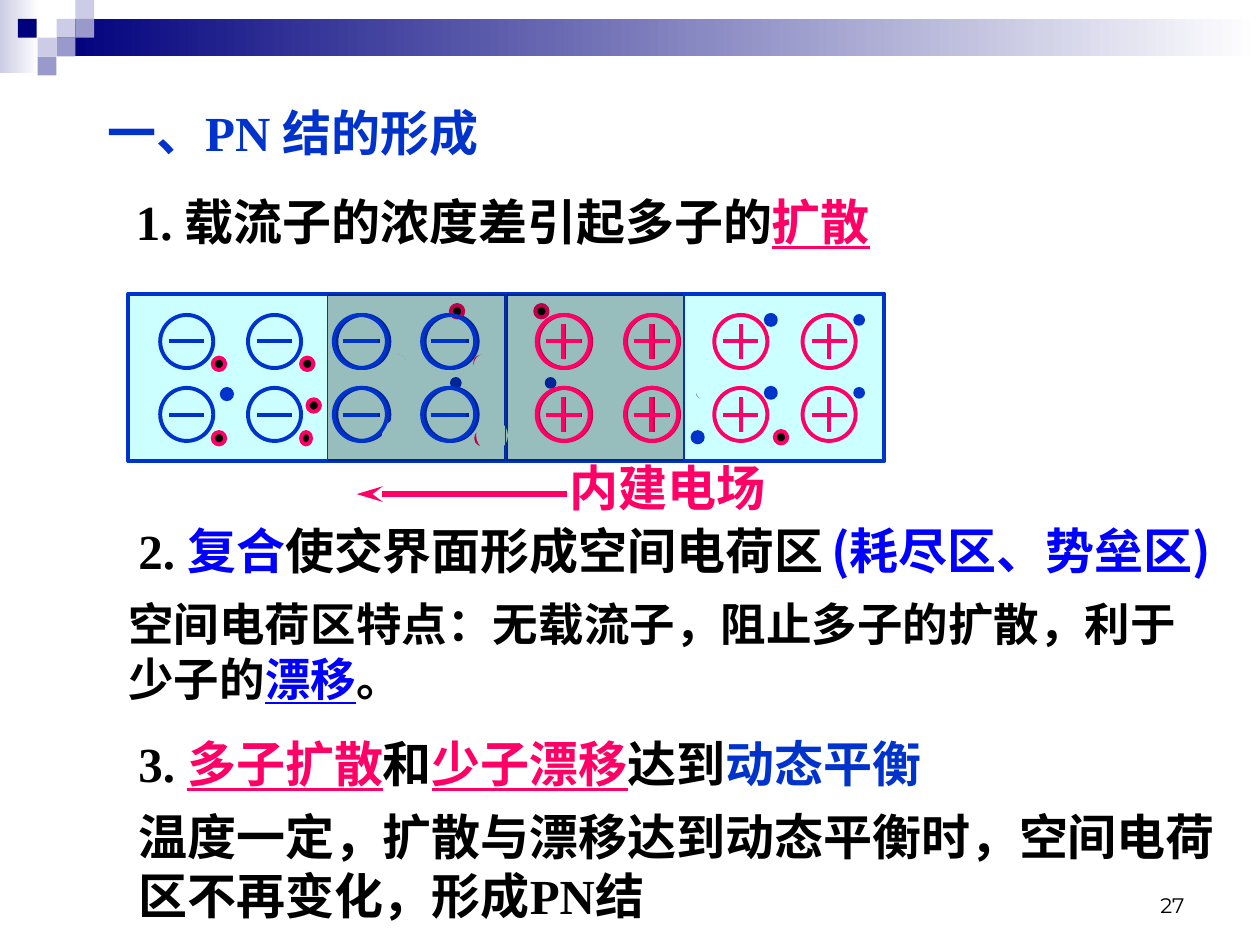
from lxml.etree import SubElement
from pptx import Presentation
from pptx.dml.color import RGBColor
from pptx.enum.shapes import MSO_CONNECTOR as Connector, MSO_SHAPE as Shape
from pptx.enum.text import MSO_ANCHOR as Anchor, MSO_AUTO_SIZE as AutoSize, PP_ALIGN as Align
from pptx.oxml.ns import qn
from pptx.util import Cm, Pt

COLORS = {
    "navy": "00007D", "lilac": "CCCCE6", "violet": "9999CC", "white": "FFFFFF",
    "blue": "0033CC", "pure": "0000FF", "pink": "FF0066", "black": "000000", "aqua": "CCFFFF",
}
SERIF, SANS, HAN, NUMBER = "Times New Roman", "Arial", "Noto Sans CJK SC", "Montserrat"

BANDS = [(0, 0, 0.31, 0.58, "lilac"), (0.45, 0.15, 9.55, 0.3, "navy")]
TILE = 0.15
TILES = [
    (0.45, 0.15, "lilac"), (0.6, 0, "lilac"), (0.6, 0.15, "violet"), (0.3, 0.3, "lilac"),
    (0.14, 0.15, "navy"), (0.45, 0.3, "violet"), (0.3, 0.45, "violet"),
]

TITLE = ((0.75, 0.76, 7, 0.57), 28, [("一、PN 结的形成", "blue", SERIF, False)])
TEXTS = [
    ((0.98, 1.47, 7.67, 0.57), 28, [
        ("1. 载流子的浓度差引起多子的", "black", SERIF, False), ("扩散", "pink", SERIF, True)]),
    ((1, 4.08, 6.33, 0.57), 28, [
        ("2. ", "black", SERIF, False), ("复合", "pure", SERIF, False),
        ("使交界面形成空间电荷区", "black", SERIF, False)]),
    ((6.5, 4.08, 3.5, 0.57), 28, [("(耗尽区、势垒区)", "pure", HAN, False)]),
    ((0.92, 4.68, 8.73, 0.97), 26, [
        ("空间电荷区特点：", "black", SERIF, False),
        ("无载流子，阻止多子的扩散，利于少子的", "black", SANS, False),
        ("漂移", "pure", SANS, True), ("。", "black", SANS, False)]),
    ((1, 5.77, 6.68, 0.57), 28, [
        ("3. ", "black", SERIF, False), ("多子扩散", "pink", SERIF, True),
        ("和", "black", SERIF, False), ("少子漂移", "pink", SERIF, True),
        ("达到", "black", SERIF, False), ("动态平衡", "blue", SERIF, False)]),
    ((1, 6.35, 9, 1.03), 28, [
        ("温度一定，扩散与漂移达到动态平衡时，空间电荷区不再变化，形成PN结",
         "black", SERIF, False)]),
    ((4.42, 3.58, 2.33, 0.57), 28, [("内建电场", "pink", SERIF, False)]),
]
PAGE_NUMBER = ((7.17, 6.83, 2.33, 0.5), 12, [("27", "black", NUMBER, False)])

BAR_TOP, BAR_WIDTH, BAR_HEIGHT = 2.33, 3, 1.33
N_LEFT, P_LEFT = 4.02, 1.02
ION_ROWS, ION_STEP, ION_SIZE, SIGN_SIZE = (2.5, 3.08), 0.7, 0.42, 0.28
N_ELECTRONS = [
    (4.69, 2.5, 0.08, 1), (5.39, 2.5, 0.08, 1), (6.08, 2.5, 0.08, 2.25), (6.78, 2.5, 0.08, 1),
    (6.08, 3.08, 0.08, 2.25), (6.78, 3.08, 0.08, 1), (5.49, 3.42, 0.1, 1),
    (4.77, 3.08, 0.08, 1), (5.53, 3.08, 0.08, 1),
]
N_HOLES = [(6.15, 3.42, 0.1)]
P_ELECTRONS = [(1.75, 3.08, 0.1, 1)]
P_HOLES = [
    (1.69, 2.84, 0.1), (2.39, 2.84, 0.1), (1.69, 3.43, 0.1), (2.39, 3.43, 0.08),
    (3.08, 3.43, 0.1), (3.78, 3.43, 0.1), (2.44, 3.17, 0.1), (3.11, 2.83, 0.1), (3.77, 2.83, 0.1),
]
VACANCIES = [
    (3.07, 2.81, 0.16, 0.18), (3.76, 2.81, 0.16, 0.18), (4.64, 2.42, 0.16, 0.18),
    (5.33, 2.42, 0.16, 0.18), (3.03, 3.33, 0.25, 0.25), (3.78, 3.33, 0.25, 0.25),
    (4.75, 3, 0.18, 0.18), (5.52, 3, 0.18, 0.18),
]
MOVED_HOLES = [(3.58, 2.42, 0.1), (4.25, 2.42, 0.1)]
MOVED_ELECTRONS = [(3.58, 3, 0.08, 1), (4.33, 3, 0.08, 1)]
DEPLETION = (2.6, 2.33, 2.83, 1.33)
FIELD = (4.5, 3.92, 2.83, 3.92)


def inches(*values):
    return [Cm(round(value * 2.54, 2)) for value in values]


def rgb(name):
    return RGBColor.from_string(COLORS[name])


def add_form(page, kind, frame, fill=None, line=None, width=2.25):
    form = page.shapes.add_shape(kind, *inches(*frame))
    form.shadow.inherit = False
    if fill:
        form.fill.solid()
        form.fill.fore_color.rgb = rgb(fill)
    else:
        form.fill.background()
    if line:
        form.line.color.rgb = rgb(line)
        form.line.width = Pt(width)
    else:
        form.line.fill.background()
    return form


def add_line(page, ends, color, width=2.25):
    line = page.shapes.add_connector(Connector.STRAIGHT, *inches(*ends))
    SubElement(line._element.spPr, qn("a:effectLst"))
    line.line.color.rgb = rgb(color)
    line.line.width = Pt(width)
    return line


def add_ions(page, left, columns, color, positive):
    half = SIGN_SIZE / 2
    for top in ION_ROWS:
        for column in range(columns):
            x = left + column * ION_STEP
            add_form(page, Shape.OVAL, (x, top, ION_SIZE, ION_SIZE), line=color)
            cx, cy = x + ION_SIZE / 2, top + ION_SIZE / 2
            add_line(page, (cx - half, cy, cx + half, cy), color)
            if positive:
                add_line(page, (cx, cy - half, cx, cy + half), color)


def add_carriers(page, electrons, holes):
    for x, y, size, width in electrons:
        add_form(page, Shape.OVAL, (x, y, size, size), "blue", "blue", width)
    for x, y, size in holes:
        add_form(page, Shape.OVAL, (x, y, size, 0.1), "black", "pink")


def fill_text(box, content, bold=True, align=Align.LEFT, anchor=Anchor.TOP):
    frame, size, spans = content
    for name, value in zip(("left", "top", "width", "height"), inches(*frame)):
        setattr(box, name, value)
    text = box.text_frame
    layout = {"word_wrap": True, "vertical_anchor": anchor,
              "auto_size": AutoSize.SHAPE_TO_FIT_TEXT if bold else AutoSize.NONE}
    for name, value in layout.items():
        setattr(text, name, value)
    para = text.paragraphs[0]
    para.alignment = align
    for words, color, face, underline in spans:
        span = para.add_run()
        span.text = words
        span.font.color.rgb = rgb(color)
        style = {"name": face, "size": Pt(size), "bold": bold, "underline": underline}
        for name, value in style.items():
            setattr(span.font, name, value)
        SubElement(span.font._element, qn("a:ea")).set("typeface", HAN)


def add_header(page):
    for *frame, color in BANDS:
        band = add_form(page, Shape.RECTANGLE, frame)
        band.fill.gradient()
        band.fill.gradient_angle = 0
        for stop, name in zip(band.fill.gradient_stops, (color, "white")):
            stop.color.rgb = rgb(name)
    for x, y, color in TILES:
        add_form(page, Shape.RECTANGLE, (x, y, TILE, TILE), color)


def add_junction(page):
    sides = [(N_LEFT, "pink", True, N_ELECTRONS, N_HOLES),
             (P_LEFT, "blue", False, P_ELECTRONS, P_HOLES)]
    for left, color, positive, electrons, holes in sides:
        add_form(page, Shape.RECTANGLE, (left, BAR_TOP, BAR_WIDTH, BAR_HEIGHT), "aqua", "blue")
        add_ions(page, left + 0.25, 4, color, positive)
        add_carriers(page, electrons, holes)
    for frame in VACANCIES:
        add_form(page, Shape.OVAL, frame, "aqua")
    add_carriers(page, MOVED_ELECTRONS, MOVED_HOLES)

    region = add_form(page, Shape.RECTANGLE, DEPLETION, "black", "blue", 0.75)
    shade = region._element.spPr.find(qn("a:solidFill")).find(qn("a:srgbClr"))
    SubElement(shade, qn("a:alpha")).set("val", "26000")
    add_ions(page, 2.65, 2, "blue", False)
    add_ions(page, 4.26, 2, "pink", True)
    border = add_line(page, (4.01, 2.33, 4.01, 3.67), "blue", 0.75)
    border.begin_connect(region, 0)
    border.end_connect(region, 2)

    arrow = add_line(page, FIELD, "pink", 3)
    tail = SubElement(arrow.line._get_or_add_ln(), qn("a:tailEnd"))
    for name, value in {"type": "stealth", "w": "med", "len": "lg"}.items():
        tail.set(name, value)


def main():
    deck = Presentation()
    deck.slide_width, deck.slide_height = inches(10, 7.5)
    page = deck.slides.add_slide(deck.slide_layouts[5])
    add_header(page)
    fill_text(page.shapes.title, TITLE)
    add_junction(page)
    for content in TEXTS:
        fill_text(page.shapes.add_textbox(0, 0, 0, 0), content)
    fill_text(page.shapes.add_textbox(0, 0, 0, 0), PAGE_NUMBER, False, Align.RIGHT, Anchor.BOTTOM)
    deck.save("out.pptx")


if __name__ == "__main__":
    main()
